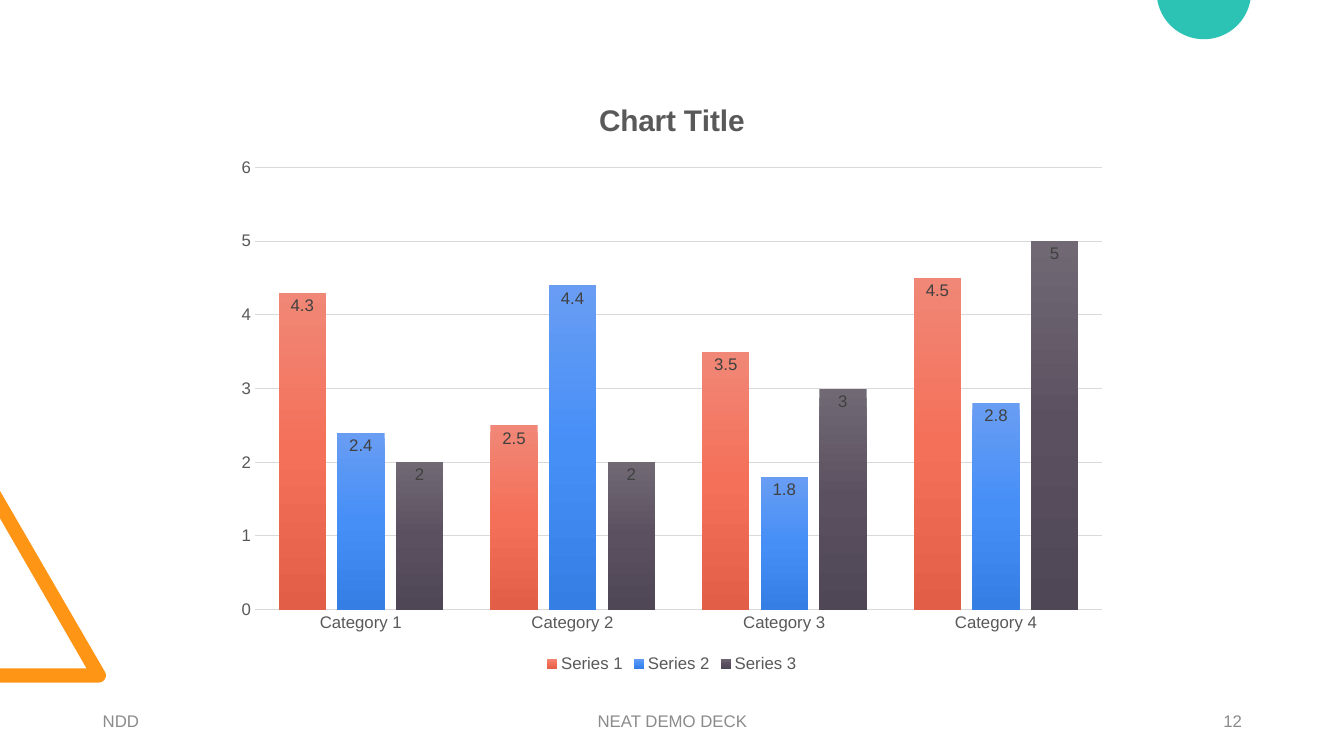
"""Builds a slide with a clustered column chart, corner ornaments and a footer."""
from copy import deepcopy
from math import asin, cos, degrees, radians, sin

from pptx import Presentation
from pptx.chart.data import CategoryChartData
from pptx.dml.color import RGBColor
from pptx.enum.chart import (XL_CHART_TYPE, XL_LABEL_POSITION,
                             XL_LEGEND_POSITION, XL_TICK_MARK)
from pptx.enum.text import MSO_ANCHOR, PP_ALIGN
from pptx.oxml.ns import qn
from pptx.util import Cm, Pt

FONT = "Arial"
ORANGE = RGBColor(0xFF, 0x95, 0x14)
TEAL = RGBColor(0x2C, 0xC3, 0xB4)
FOOTER_GREY = RGBColor(0x8B, 0x8B, 0x8B)
TEXT_GREY = RGBColor(0x59, 0x59, 0x59)
LABEL_GREY = RGBColor(0x40, 0x40, 0x40)
GRID_GREY = RGBColor(0xD9, 0xD9, 0xD9)
CORAL = (RGBColor(0xF1, 0x87, 0x76), RGBColor(0xF4, 0x70, 0x59), RGBColor(0xE2, 0x5E, 0x47))
BLUE = (RGBColor(0x68, 0x9D, 0xF3), RGBColor(0x46, 0x8F, 0xF7), RGBColor(0x35, 0x7E, 0xE4))
PLUM = (RGBColor(0x70, 0x69, 0x74), RGBColor(0x5B, 0x50, 0x60), RGBColor(0x50, 0x47, 0x56))

CATEGORIES = ["Category 1", "Category 2", "Category 3", "Category 4"]
SERIES = [
    ("Series 1", (4.3, 2.5, 3.5, 4.5), CORAL),
    ("Series 2", (2.4, 4.4, 1.8, 2.8), BLUE),
    ("Series 3", (2, 2, 3, 5), PLUM),
]
FOOTER = [
    ("NDD", 2.34, 7.62, PP_ALIGN.LEFT),
    ("NEAT DEMO DECK", 11.23, 11.43, PP_ALIGN.CENTER),
    ("12", 23.93, 7.62, PP_ALIGN.RIGHT),
]


def style_font(font, color, size=12, bold=False):
    font.name = FONT
    font.size = Pt(size)
    font.bold = bold
    font.color.rgb = color


def arc(cx, cy, radius, start, end, steps=48):
    angles = [radians(start + (end - start) * i / steps) for i in range(steps + 1)]
    return [(cx + radius * cos(a), cy + radius * sin(a)) for a in angles]


def add_outline(slide, points, color):
    first, *rest = [(Cm(x), Cm(y)) for x, y in points]
    builder = slide.shapes.build_freeform(*first)
    builder.add_line_segments(rest, close=True)
    sp = builder.convert_to_shape()
    sp.shadow.inherit = False
    sp.fill.solid()
    sp.fill.fore_color.rgb = color
    sp.line.fill.background()


def add_footer(slide, text, left, width, align):
    tf = slide.shapes.add_textbox(Cm(left), Cm(17.65), Cm(width), Cm(1.02)).text_frame
    tf.word_wrap = True
    tf.vertical_anchor = MSO_ANCHOR.MIDDLE
    p = tf.paragraphs[0]
    p.text = text
    p.alignment = align
    style_font(p.runs[0].font, FOOTER_GREY)


def style_series(series, colors):
    fill = series.format.fill
    fill.gradient()
    fill.gradient_angle = 270
    stop_list = next(series._element.iter(qn("a:gsLst")))
    stop_list.insert(1, deepcopy(stop_list[0]))
    for stop, position, color in zip(fill.gradient_stops, (0, 0.5, 1), colors):
        stop.position = position
        stop.color.rgb = color
    series.format.line.fill.background()
    labels = series.data_labels
    labels.show_value = True
    labels.position = XL_LABEL_POSITION.INSIDE_END
    style_font(labels.font, LABEL_GREY)


def style_axis(axis):
    axis.major_tick_mark = axis.minor_tick_mark = XL_TICK_MARK.NONE
    style_font(axis.tick_labels.font, TEXT_GREY)


def add_column_chart(slide):
    data = CategoryChartData()
    data.categories = CATEGORIES
    for name, values, _ in SERIES:
        data.add_series(name, values)
    chart = slide.shapes.add_chart(XL_CHART_TYPE.COLUMN_CLUSTERED, Cm(5.64), Cm(1.99),
                                   Cm(22.58), Cm(15.06), data).chart
    chart.font.name = FONT
    chart.font.size = Pt(10)

    tf = chart.chart_title.text_frame
    tf.text = "Chart Title"
    style_font(tf.paragraphs[0].runs[0].font, TEXT_GREY, 21.3, True)
    chart.has_legend = True
    chart.legend.position = XL_LEGEND_POSITION.BOTTOM
    chart.legend.include_in_layout = False
    style_font(chart.legend.font, TEXT_GREY)

    style_axis(chart.category_axis)
    chart.category_axis.format.line.color.rgb = GRID_GREY
    chart.category_axis.format.line.width = Pt(1)
    axis = chart.value_axis
    style_axis(axis)
    axis.minimum_scale, axis.maximum_scale, axis.major_unit = 0, 6, 1
    axis.format.line.fill.background()
    axis.major_gridlines.format.line.color.rgb = GRID_GREY
    axis.major_gridlines.format.line.width = Pt(0.75)

    plot = chart.plots[0]
    plot.gap_width = 100
    plot.overlap = -24
    plot.vary_by_categories = False
    for series, (_, _, colors) in zip(plot.series, SERIES):
        style_series(series, colors)


def main():
    prs = Presentation()
    prs.slide_width, prs.slide_height = Cm(33.87), Cm(19.05)
    slide = prs.slides.add_slide(prs.slide_layouts[6])

    triangle = [(0, 17.2), (0, 16.84), (2.18, 16.84), (0, 13.06), (0, 12.37)]
    add_outline(slide, triangle + arc(2.49, 17.02, 0.18, -30, 90), ORANGE)
    edge = degrees(asin(0.2 / 1.19))
    add_outline(slide, arc(30.34, -0.2, 1.19, edge, 180 - edge), TEAL)
    for item in FOOTER:
        add_footer(slide, *item)
    add_column_chart(slide)
    prs.save("out.pptx")


if __name__ == "__main__":
    main()
